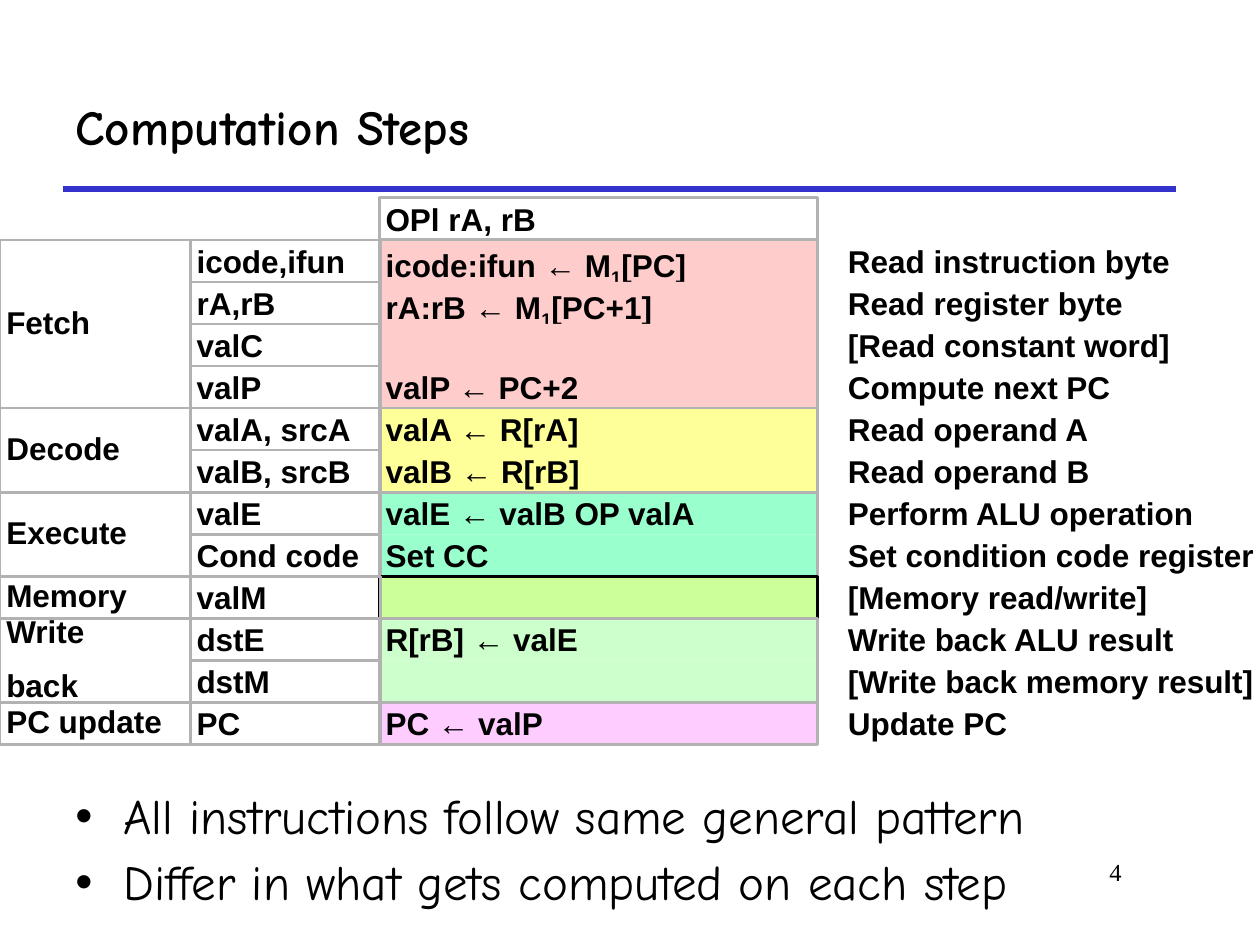
from dataclasses import dataclass
from typing import Optional

from lxml import etree
from pptx import Presentation
from pptx import util as u
from pptx.dml.color import RGBColor
from pptx.enum import shapes, text
from pptx.oxml.ns import qn


@dataclass(frozen=True)
class Theme:
    ink: str = "000000"
    border: str = "B2B2B2"
    rule: str = "3333CC"
    heading_font: str = "Comic Neue"
    table_font: str = "Arial"
    number_font: str = "Times New Roman"
    heading_size: float = 28
    table_size: float = 18
    number_size: float = 14
    border_width: float = 1.5
    rule_width: float = 3


@dataclass(frozen=True)
class Step:
    value: str
    computation: str  # parts between bars are subscripts
    description: str


@dataclass(frozen=True)
class Stage:
    name: str
    fill: str
    steps: tuple[Step, ...]
    outline: str = Theme.border


THEME = Theme()

# Step grid, in inches: one header row and twelve step rows
GRID_TOP, GRID_HEIGHT, ROW_COUNT = 1.57, 4.34, 13
ROW = GRID_HEIGHT / ROW_COUNT
STAGE_LEFT, VALUE_LEFT, COMPUTATION_LEFT, DESCRIPTION_LEFT = 0, 1.51, 3.01, 6.68
LABEL_WIDTH, WIDE_WIDTH = 1.51, 3.48

STAGES = (
    Stage("Fetch", "FFCCCC", (
        Step("icode,ifun", "icode:ifun ← M|1|[PC]", "Read instruction byte"),
        Step("rA,rB", "rA:rB ← M|1|[PC+1]", "Read register byte"),
        Step("valC", "", "[Read constant word]"),
        Step("valP", "valP ← PC+2", "Compute next PC"),
    )),
    Stage("Decode", "FFFF99", (
        Step("valA, srcA", "valA ← R[rA]", "Read operand A"),
        Step("valB, srcB", "valB ← R[rB]", "Read operand B"),
    )),
    Stage("Execute", "99FFCC", (
        Step("valE", "valE ← valB OP valA", "Perform ALU operation"),
        Step("Cond code", "Set CC", "Set condition code register"),
    )),
    Stage("Memory", "CCFF99", (
        Step("valM", "", "[Memory read/write]"),
    ), outline=THEME.ink),
    Stage("Write\nback", "CCFFCC", (
        Step("dstE", "R[rB] ← valE", "Write back ALU result"),
        Step("dstM", "", "[Write back memory result]"),
    )),
    Stage("PC update", "FFCCFF", (
        Step("PC", "PC ← valP", "Update PC"),
    )),
)


def format_runs(paragraph, font: str, size: float, bold: bool = False) -> None:
    for run in paragraph.runs:
        run.font.name = font
        run.font.size = u.Pt(size)
        run.font.bold = bold
        run.font.color.rgb = RGBColor.from_string(THEME.ink)


def write_cell(shape, content: str, anchor=text.MSO_ANCHOR.TOP) -> None:
    """Write bold table text, lowering the parts between bars."""
    frame = shape.text_frame
    frame.word_wrap = True
    frame.vertical_anchor = anchor
    frame.margin_left = frame.margin_right = u.Inches(0.05)
    frame.margin_top = frame.margin_bottom = u.Inches(0.05)
    frame.text = content.replace("|", "") if "|" not in content else ""
    if "|" in content:
        for index, part in enumerate(content.split("|")):
            run = frame.paragraphs[0].add_run()
            run.text = part
            if index % 2:
                run.font._element.set("baseline", "-25000")
    for paragraph in frame.paragraphs:
        paragraph.alignment = text.PP_ALIGN.LEFT
        paragraph.line_spacing = 0.9
        paragraph.space_before = u.Pt(11.2)
        format_runs(paragraph, THEME.table_font, THEME.table_size, bold=True)


def add_box(slide, left: float, row: int, width: float, rows: int = 1,
            fill: Optional[str] = None, line: Optional[str] = None):
    """Add a rectangle that spans whole rows of the grid."""
    box = slide.shapes.add_shape(
        shapes.MSO_SHAPE.RECTANGLE, u.Inches(left), u.Inches(GRID_TOP + row * ROW),
        u.Inches(width), u.Inches(rows * ROW))
    box.shadow.inherit = False
    if fill:
        box.fill.solid()
        box.fill.fore_color.rgb = RGBColor.from_string(fill)
    else:
        box.fill.background()
    if line:
        box.line.color.rgb = RGBColor.from_string(line)
        box.line.width = u.Pt(THEME.border_width)
    else:
        box.line.fill.background()
    return box


def add_text_box(slide, left: float, top: float, width: float, height: float):
    box = slide.shapes.add_textbox(
        u.Inches(left), u.Inches(top), u.Inches(width), u.Inches(height))
    box.text_frame.word_wrap = True
    return box


def add_stage(slide, stage: Stage, first_row: int) -> None:
    count = len(stage.steps)
    single = count == 1
    # Coloured computations, with one outline around the stage
    for row, step in enumerate(stage.steps, first_row):
        cell = add_box(slide, COMPUTATION_LEFT, row, WIDE_WIDTH, fill=stage.fill,
                       line=stage.outline if single else None)
        if step.computation:
            write_cell(cell, step.computation)
    if not single:
        add_box(slide, COMPUTATION_LEFT, first_row, WIDE_WIDTH, count, line=stage.outline)
    # Stage name
    label = add_box(slide, STAGE_LEFT, first_row, LABEL_WIDTH, count, line=THEME.border)
    write_cell(label, stage.name, text.MSO_ANCHOR.MIDDLE)
    # Value names and descriptions
    for row, step in enumerate(stage.steps, first_row):
        value = add_box(slide, VALUE_LEFT, row, LABEL_WIDTH, line=THEME.border)
        write_cell(value, step.value)
        description = add_text_box(
            slide, DESCRIPTION_LEFT, GRID_TOP + row * ROW, WIDE_WIDTH, ROW)
        write_cell(description, step.description)


def add_title(slide, content: str) -> None:
    title = slide.shapes.title
    title.left, title.top = u.Inches(0.5), u.Inches(0.5)
    title.width, title.height = u.Inches(8.83), u.Inches(1)
    frame = title.text_frame
    frame.text = content
    frame.auto_size = text.MSO_AUTO_SIZE.NONE
    frame.vertical_anchor = text.MSO_ANCHOR.MIDDLE
    frame.paragraphs[0].alignment = text.PP_ALIGN.LEFT
    format_runs(frame.paragraphs[0], THEME.heading_font, THEME.heading_size, bold=True)


def add_rule(slide) -> None:
    rule = slide.shapes.add_connector(
        shapes.MSO_CONNECTOR.STRAIGHT,
        u.Inches(0.5), u.Inches(1.5), u.Inches(9.33), u.Inches(1.5))
    rule.line.color.rgb = RGBColor.from_string(THEME.rule)
    rule.line.width = u.Pt(THEME.rule_width)
    etree.SubElement(rule._element.spPr, qn("a:effectLst"))


def add_bullets(slide, content: str) -> None:
    frame = add_text_box(slide, 0.5, 6.24, 9.08, 1.09).text_frame
    frame.text = content
    for paragraph in frame.paragraphs:
        paragraph.line_spacing = 0.9
        paragraph.space_before = u.Pt(7)
        format_runs(paragraph, THEME.heading_font, THEME.heading_size)
        properties = paragraph._p.get_or_add_pPr()
        properties.set("marL", str(u.Inches(0.38)))
        properties.set("indent", str(-u.Inches(0.38)))
        etree.SubElement(properties, qn("a:buFont"), typeface=THEME.table_font)
        etree.SubElement(properties, qn("a:buChar"), char="•")


def add_slide_number(slide, number: str) -> None:
    frame = add_text_box(slide, 7.58, 6.75, 1.42, 0.5).text_frame
    frame.text = number
    frame.paragraphs[0].alignment = text.PP_ALIGN.RIGHT
    format_runs(frame.paragraphs[0], THEME.number_font, THEME.number_size)


def main() -> None:
    presentation = Presentation()
    presentation.slide_width, presentation.slide_height = u.Inches(10), u.Inches(7.5)
    slide = presentation.slides.add_slide(presentation.slide_layouts[5])

    add_rule(slide)
    add_slide_number(slide, "4")
    add_title(slide, "Computation Steps")
    add_bullets(slide, "All instructions follow same general pattern\n"
                       "Differ in what gets computed on each step")

    # Header and stages
    header = add_box(slide, COMPUTATION_LEFT, 0, WIDE_WIDTH, line=THEME.border)
    write_cell(header, "OPl rA, rB")
    row = 1
    for stage in STAGES:
        add_stage(slide, stage, row)
        row += len(stage.steps)

    presentation.save("out.pptx")


if __name__ == "__main__":
    main()
